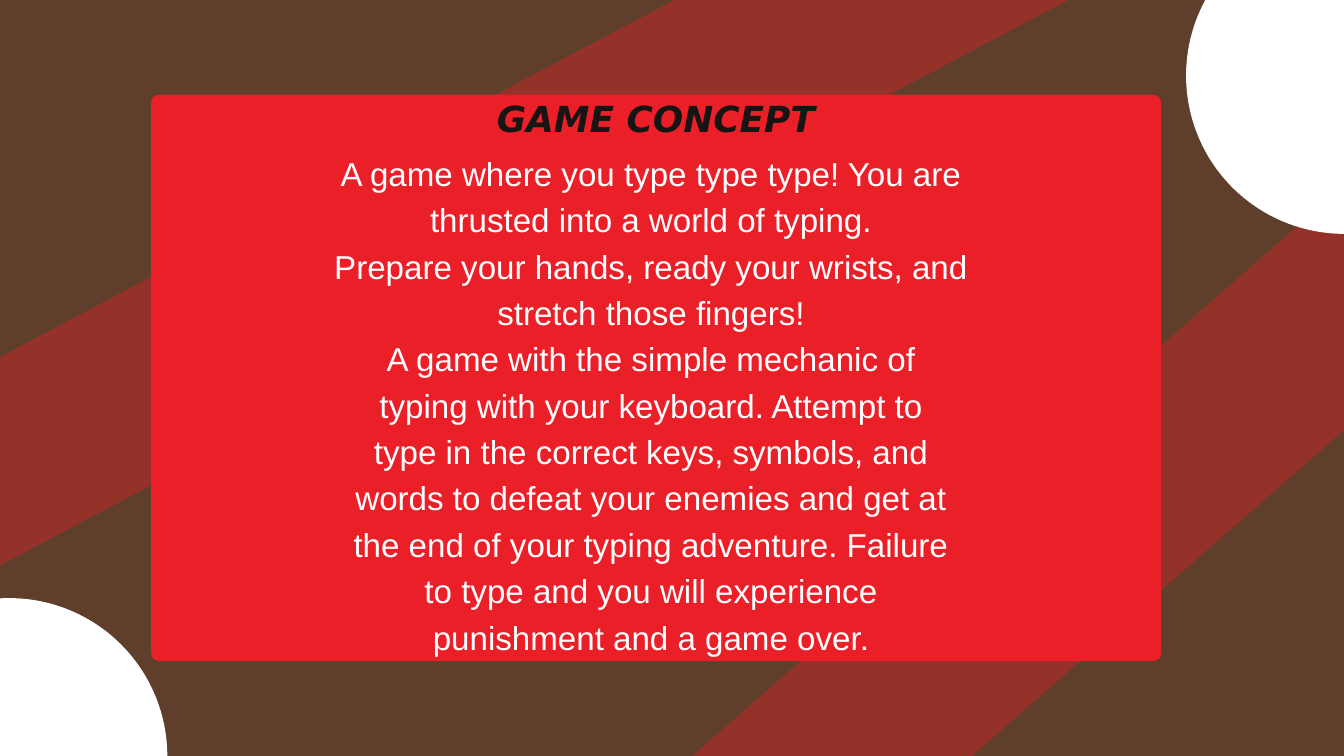
from lxml.etree import SubElement
from pptx import Presentation
from pptx.dml.color import RGBColor
from pptx.enum.shapes import MSO_SHAPE
from pptx.enum.text import MSO_AUTO_SIZE, PP_ALIGN
from pptx.oxml.ns import qn
from pptx.util import Inches, Pt

BROWN = RGBColor(0x5F, 0x3F, 0x2C)
RED = RGBColor(0xEB, 0x1F, 0x28)
WHITE = RGBColor(0xFF, 0xFF, 0xFF)
BLACK = RGBColor(0x17, 0x14, 0x14)

STRIPE_WIDTH, STRIPE_LENGTH = 2.74, 19.63
CIRCLE_SIZE = 4.71
CORNER_RADIUS = 0.12

CONCEPT_LINES = [
    "A game where you type type type! You are",
    "thrusted into a world of typing.",
    "Prepare your hands, ready your wrists, and",
    "stretch those fingers!",
    "A game with the simple mechanic of",
    "typing with your keyboard. Attempt to",
    "type in the correct keys, symbols, and",
    "words to defeat your enemies and get at",
    "the end of your typing adventure. Failure",
    "to type and you will experience",
    "punishment and a game over.",
]


class ConceptSlide:
    def __init__(self, presentation):
        self.slide = presentation.slides.add_slide(presentation.slide_layouts[6])
        background = self.slide.background.fill
        background.solid()
        background.fore_color.rgb = BROWN

    def _filled(self, preset, left, top, width, height, color):
        shape = self.slide.shapes.add_shape(
            preset, Inches(left), Inches(top), Inches(width), Inches(height))
        shape.shadow.inherit = False
        shape.fill.solid()
        shape.fill.fore_color.rgb = color
        shape.line.fill.background()
        return shape

    def stripe(self, left, top, angle):
        """Add a see-through band, placed as it stands before rotation."""
        band = self._filled(MSO_SHAPE.RECTANGLE, left, top,
                            STRIPE_WIDTH, STRIPE_LENGTH, RED)
        band.rotation = angle
        color = band.fill._xPr.find(qn("a:solidFill"))[0]
        SubElement(color, qn("a:alpha"), val="38000")

    def circle(self, left, top):
        self._filled(MSO_SHAPE.OVAL, left, top, CIRCLE_SIZE, CIRCLE_SIZE, WHITE)

    def panel(self, left, top, width, height):
        card = self._filled(MSO_SHAPE.ROUNDED_RECTANGLE, left, top, width, height, RED)
        card.adjustments[0] = CORNER_RADIUS / min(width, height)

    def text(self, lines, left, top, width, height, font, size, spacing, color,
             emphasis=False):
        """Add centred lines; emphasis makes them bold italic."""
        frame = self.slide.shapes.add_textbox(
            Inches(left), Inches(top), Inches(width), Inches(height)).text_frame
        frame.margin_left = frame.margin_right = 0
        frame.margin_top = frame.margin_bottom = 0
        frame.word_wrap = True
        frame.auto_size = MSO_AUTO_SIZE.SHAPE_TO_FIT_TEXT
        frame.text = "\n".join(lines)
        for paragraph in frame.paragraphs:
            paragraph.alignment = PP_ALIGN.CENTER
            paragraph.line_spacing = Pt(spacing)
            for run in paragraph.runs:
                run.font.name = font
                run.font.size = Pt(size)
                run.font.color.rgb = color
                run.font.bold = run.font.italic = emphasis


def main():
    presentation = Presentation()
    presentation.slide_width = Inches(20)
    presentation.slide_height = Inches(11.25)

    concept = ConceptSlide(presentation)
    concept.stripe(5.73, -6.71, 62.1)
    concept.stripe(14.01, -1.19, 48.8)
    concept.circle(17.65, -1.23)
    concept.circle(-2.22, 8.9)
    concept.panel(2.25, 1.41, 15.03, 8.43)
    concept.text(["GAME CONCEPT"], 5.86, 1.33, 7.8, 0.72,
                 "DejaVu Sans", 38.4, 53.8, BLACK, emphasis=True)
    concept.text(CONCEPT_LINES, 2.49, 2.18, 14.4, 7.52,
                 "Arial", 35.5, 49.7, WHITE)

    presentation.save("out.pptx")


if __name__ == "__main__":
    main()
